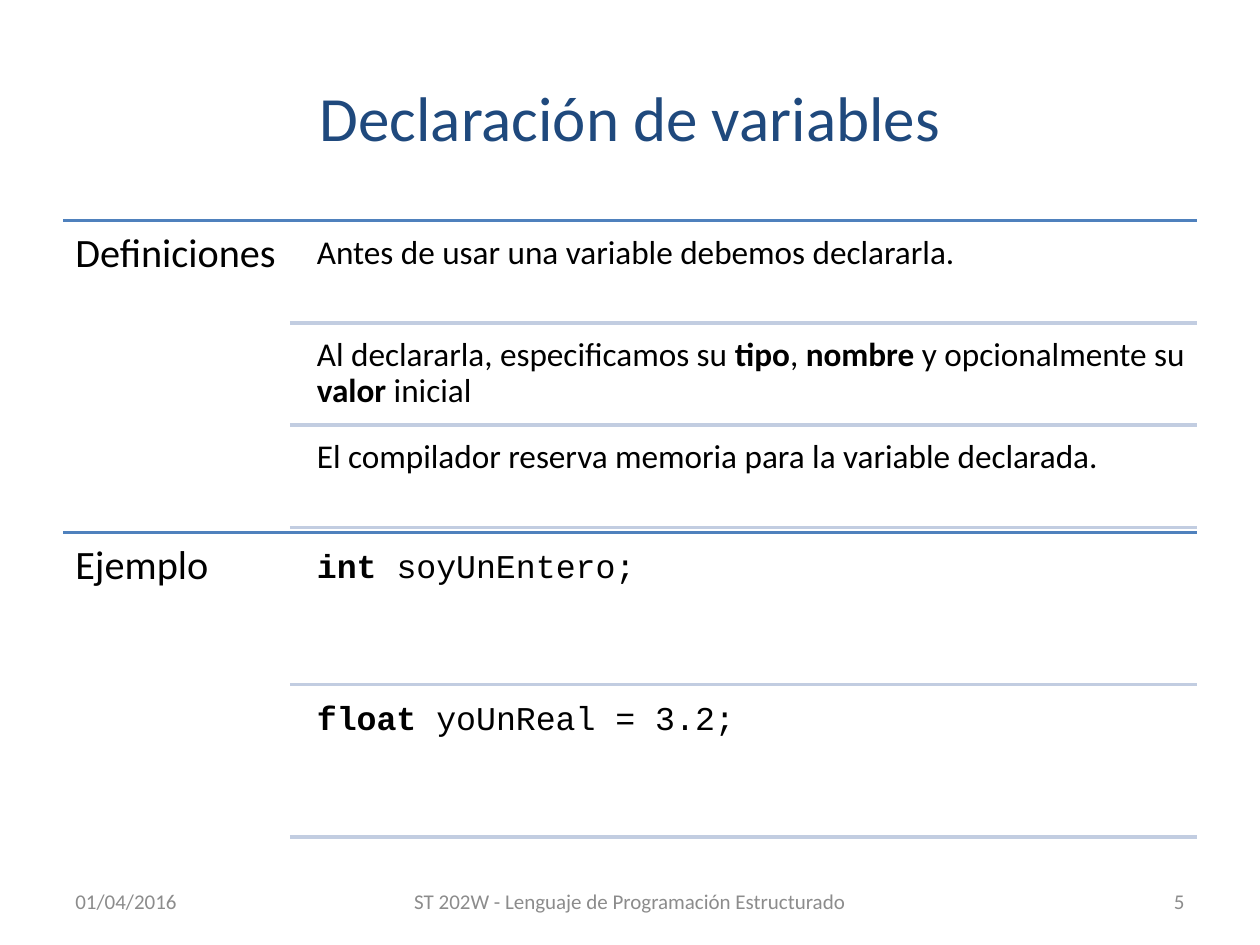
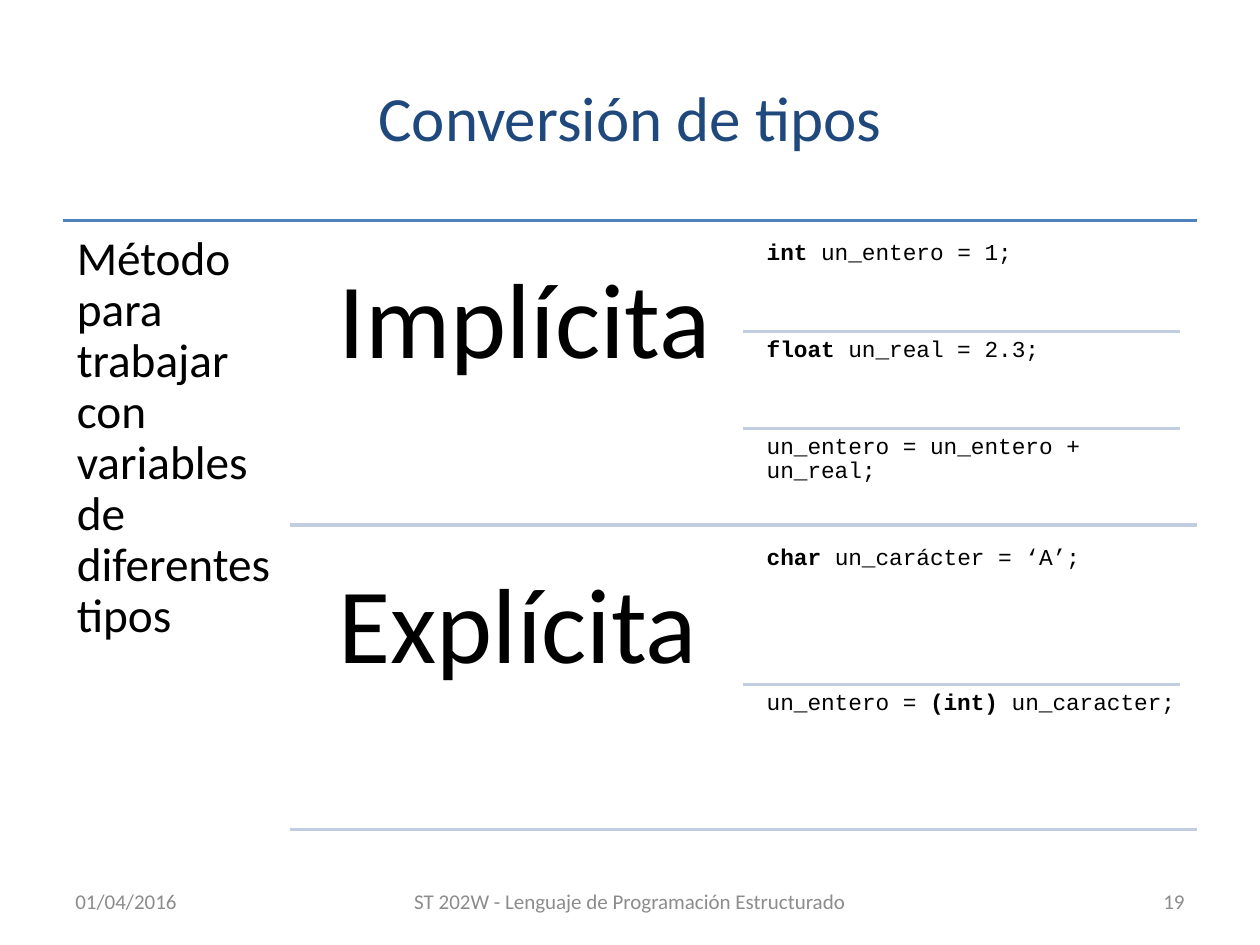
from dataclasses import dataclass

from pptx import Presentation
from pptx.dml.color import RGBColor
from pptx.enum.shapes import MSO_CONNECTOR
from pptx.enum.text import MSO_ANCHOR, PP_ALIGN
from pptx.oxml.ns import qn
from pptx.util import Inches, Pt

STRAIGHT = MSO_CONNECTOR.STRAIGHT
TOP, MIDDLE = MSO_ANCHOR.TOP, MSO_ANCHOR.MIDDLE
LEFT, CENTER, RIGHT = PP_ALIGN.LEFT, PP_ALIGN.CENTER, PP_ALIGN.RIGHT

DATE = "01/04/2016"
COURSE = "ST 202W - Lenguaje de Programación Estructurado"

DECLARATION = {
    "title": "Declaración de variables",
    "number": "5",
    "sections": [
        ("Definiciones", "body", [
            "Antes de usar una variable debemos declararla.",
            "Al declararla, especificamos su **tipo**, **nombre** y opcionalmente su **valor** inicial",
            "El compilador reserva memoria para la variable declarada.",
        ]),
        ("Ejemplo", "code", [
            "**int **soyUnEntero;",
            "**float **yoUnReal = 3.2;",
        ]),
    ],
}

CONVERSION = {
    "title": "Conversión de tipos",
    "number": "19",
    "method": "Método para trabajar con variables de diferentes tipos",
    "kinds": [
        ("Implícita", [
            "**int **un_entero = 1;",
            "**float **un_real = 2.3;",
            "un_entero = un_entero + un_real;",
        ]),
        ("Explícita", [
            "**char **un_carácter = ‘A’;",
            "un_entero = **(int) **un_caracter;",
        ]),
    ],
}


@dataclass(frozen=True)
class Style:
    size: int
    color: str = "000000"
    font: str = "Calibri"
    inset: float = 0.1
    spacing: float = 0.9
    anchor: MSO_ANCHOR = TOP


THEME = {
    "title": Style(36, "1F497D", spacing=1, anchor=MIDDLE),
    "footer": Style(12, "8C8C8C", spacing=1, anchor=MIDDLE),
    "label": Style(23),
    "body": Style(19, inset=0.08),
    "code": Style(19, font="Courier New", inset=0.08),
    "method": Style(27, inset=0.11),
    "kind": Style(61, inset=0.25),
    "small code": Style(13, font="Courier New", inset=0.05),
    "main rule": "4F81BD",
    "item rule": "C2CDE1",
    "rule width": 2,
}

WIDTH, HEIGHT = 10, 7.5
MARGIN = WIDTH * 0.05
CONTENT = WIDTH - 2 * MARGIN
END = WIDTH - MARGIN
GRID_TOP, GRID_HEIGHT = 1.75, 4.95
LABEL_WIDTH = CONTENT * 0.2
RULE_LEFT = MARGIN + LABEL_WIDTH
INDENT = CONTENT * 0.015
ITEM_LEFT = RULE_LEFT + INDENT
KIND_WIDTH = CONTENT * 0.385
CODE_RULE_LEFT = ITEM_LEFT + KIND_WIDTH
GAP_SHARE = 0.05
FOOTER_TOP, FOOTER_HEIGHT = 6.95, 0.4
SIDE_WIDTH, COURSE_WIDTH = 2.33, 3.67


def add_text(slide, text, role, left, top, width, height, align=LEFT):
    style = THEME[role]
    frame = slide.shapes.add_textbox(
        Inches(left), Inches(top), Inches(width), Inches(height)).text_frame
    frame.word_wrap = True
    frame.vertical_anchor = style.anchor
    frame.margin_left = frame.margin_right = Inches(style.inset)
    frame.margin_top = frame.margin_bottom = Inches(min(style.inset, 0.05) if style.anchor == MIDDLE else style.inset)
    paragraph = frame.paragraphs[0]
    paragraph.alignment = align
    paragraph.line_spacing = style.spacing
    for position, words in enumerate(text.split("**")):
        if words:
            run = paragraph.add_run()
            run.text = words
            run.font.name = style.font
            run.font.size = Pt(style.size)
            run.font.bold = position % 2 == 1
            run.font.color.rgb = RGBColor.from_string(style.color)


def add_rule(slide, role, left, right, y):
    rule = slide.shapes.add_connector(
        STRAIGHT, Inches(left), Inches(y), Inches(right), Inches(y))
    rule.line.color.rgb = RGBColor.from_string(THEME[role])
    rule.line.width = Pt(THEME["rule width"])
    properties = rule.line._get_or_add_ln().getparent()
    properties.append(properties.makeelement(qn("a:effectLst"), {}))


def spaced_rows(top, height, count):
    row = height / (count * (1 + GAP_SHARE) + GAP_SHARE)
    gap = row * GAP_SHARE
    return [(top + gap + i * (row + gap), row) for i in range(count)]


def add_frame(prs, content):
    slide = prs.slides.add_slide(prs.slide_layouts[6])
    add_text(slide, content["title"], "title", MARGIN, 0.3, CONTENT, 1.25, CENTER)
    for text, left, width, align in (
        (DATE, MARGIN, SIDE_WIDTH, LEFT),
        (COURSE, (WIDTH - COURSE_WIDTH) / 2, COURSE_WIDTH, CENTER),
        (content["number"], END - SIDE_WIDTH, SIDE_WIDTH, RIGHT),
    ):
        add_text(slide, text, "footer", left, FOOTER_TOP, width, FOOTER_HEIGHT, align)
    return slide


def build_declaration(prs):
    slide = add_frame(prs, DECLARATION)
    sections = DECLARATION["sections"]
    section_height = GRID_HEIGHT / len(sections)
    for index, (label, role, items) in enumerate(sections):
        top = GRID_TOP + index * section_height
        add_rule(slide, "main rule", MARGIN, END, top)
        add_text(slide, label, "label", MARGIN, top, LABEL_WIDTH, section_height)
        rows = spaced_rows(top, section_height, len(items))
        for item, (y, height) in zip(items, rows):
            add_text(slide, item, role, ITEM_LEFT, y, END - ITEM_LEFT, height)
            add_rule(slide, "item rule", RULE_LEFT, END, y + height)


def build_conversion(prs):
    slide = add_frame(prs, CONVERSION)
    kinds = CONVERSION["kinds"]
    add_rule(slide, "main rule", MARGIN, END, GRID_TOP)
    add_text(slide, CONVERSION["method"], "method",
             MARGIN, GRID_TOP, LABEL_WIDTH, GRID_HEIGHT)
    rows = spaced_rows(GRID_TOP, GRID_HEIGHT, len(kinds))
    for (kind, statements), (top, height) in zip(kinds, rows):
        add_text(slide, kind, "kind", ITEM_LEFT, top, KIND_WIDTH, height)
        step = height / len(statements)
        for index, statement in enumerate(statements):
            y = top + index * step
            if index:
                add_rule(slide, "item rule", CODE_RULE_LEFT,
                         CODE_RULE_LEFT + KIND_WIDTH, y)
            add_text(slide, statement, "small code",
                     CODE_RULE_LEFT + INDENT, y, KIND_WIDTH, step)
        add_rule(slide, "item rule", RULE_LEFT, END, top + height)


def main():
    prs = Presentation()
    prs.slide_width, prs.slide_height = Inches(WIDTH), Inches(HEIGHT)
    build_declaration(prs)
    build_conversion(prs)
    prs.save("out.pptx")


if __name__ == "__main__":
    main()
